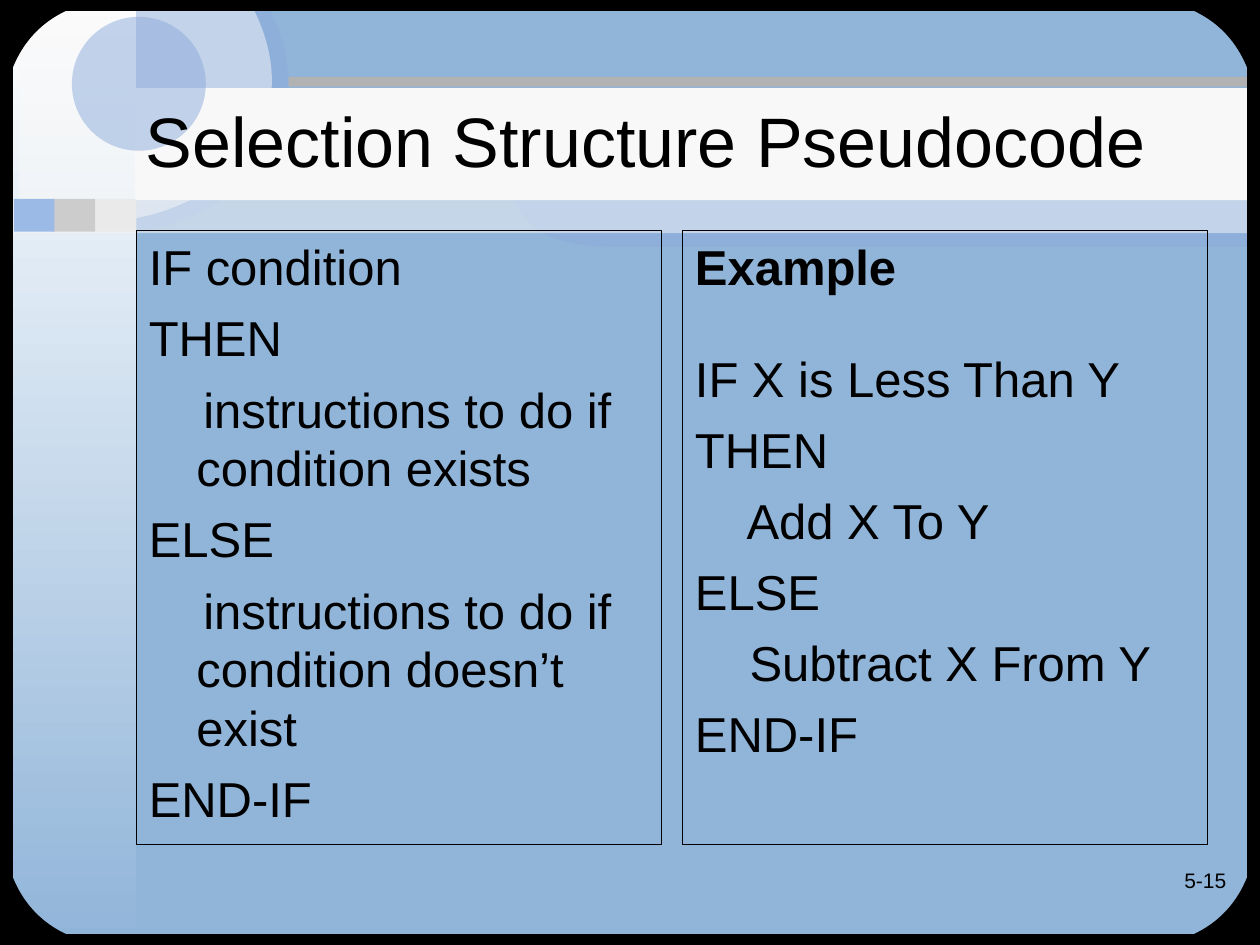
"""Build the selection structure pseudocode slide."""
from dataclasses import dataclass
from typing import Optional

from lxml.etree import SubElement
from pptx import Presentation
from pptx.dml.color import RGBColor
from pptx.enum.shapes import MSO_SHAPE
from pptx.enum.text import MSO_ANCHOR, PP_ALIGN
from pptx.oxml.ns import qn
from pptx.util import Cm, Pt

W, H = 25.4, 19.05
SKY = RGBColor(0x91, 0xB5, 0xD9)
BLUE = RGBColor(0x8C, 0xAB, 0xDC)
SQUARE_BLUE = RGBColor(0x9C, 0xBA, 0xE6)
GREY = RGBColor(0xB2, 0xB2, 0xB2)
MID_GREY = RGBColor(0xCC, 0xCC, 0xCC)
PALE_GREY = RGBColor(0xEA, 0xEA, 0xEA)
OFF_WHITE = RGBColor(0xF8, 0xF8, 0xF8)
WHITE = RGBColor(0xFF, 0xFF, 0xFF)
BLACK = RGBColor(0, 0, 0)


@dataclass
class Style:
    color: RGBColor
    alpha: Optional[int] = None
    outlined: bool = False
    fade_to: Optional[RGBColor] = None


@dataclass
class Block:
    box: tuple
    style: Style
    kind: MSO_SHAPE = MSO_SHAPE.RECTANGLE


@dataclass
class Curve:
    start: tuple
    segments: list
    style: Style


@dataclass
class Line:
    text: str
    indent: float = -0.96
    bold: bool = False
    before: float = 7


BLUE_GLASS, WHITE_GLASS = Style(BLUE, 50), Style(OFF_WHITE, 50)
FRAME = Style(BLACK, outlined=True)

BACKDROP = [
    Curve((10.34, 4.04), [(25.17, 4.04), (25.17, 4.98), (12.47, 4.98),
                          (10.9, 4.98, 10.67, 4.52, 10.34, 4.04)], BLUE_GLASS),
    Curve((5.41, 0.13), [(7.14, 3.58, 2.95, 5.61, 0.38, 4.39), (0.38, 0.13)], BLUE_GLASS),
    Block((5.82, 1.55, 19.58, 0.2), Style(GREY)),
    Block((0, 0, 2.74, H), Style(WHITE, fade_to=SKY)),
    Block((0, 4.04, W, 0.66), WHITE_GLASS),
    Block((2.72, 1.78, 22.68, 2.26), Style(OFF_WHITE)),
    Curve((5.11, 0.18), [(6.71, 3.4, 2.77, 5.28, 0.38, 4.14), (0.38, 0.18)], WHITE_GLASS),
    Block((1.45, 0.34, 2.7, 2.7), BLUE_GLASS, MSO_SHAPE.OVAL),
    Block((1.91, 4.01, 0.84, 0.66), Style(PALE_GREY)),
    Block((1.07, 4.01, 0.85, 0.66), Style(MID_GREY)),
    Block((0.28, 4.01, 0.82, 0.66), Style(SQUARE_BLUE)),
    Block((0, 0, 0.25, H), FRAME),
    Block((W - 0.25, 0, 0.25, H), FRAME),
    Block((0, 0, W, 0.21), FRAME),
    Block((0, H - 0.21, W, 0.21), FRAME),
]
CORNER_START = (0, 2.24)
CORNER = [(0, 1.73, 0.03, 1.12, 0.03, 0), (1.96, 0), (0.23, 0.36, 0.13, 1.78, 0, 2.24)]

SYNTAX = [
    Line("IF condition", before=0),
    Line("THEN"),
    Line("instructions to do if condition exists", 0.14),
    Line("ELSE"),
    Line("instructions to do if condition doesn’t exist", 0.14),
    Line("END-IF"),
]
EXAMPLE = [
    Line("Example", bold=True, before=0),
    Line("IF X is Less Than Y", before=30),
    Line("THEN"),
    Line("Add X To Y", 0.08),
    Line("ELSE"),
    Line("Subtract X From Y", 0.14),
    Line("END-IF"),
]


def apply(obj: object, values: dict) -> None:
    """Set every named attribute on an object."""
    for name, value in values.items():
        setattr(obj, name, value)


def paint(sp, style: Style) -> None:
    """Fill and outline a shape."""
    sp.shadow.inherit = False
    if style.fade_to is not None:
        sp.fill.gradient()
        sp.fill.gradient_angle = 270
        for stop, color, position in zip(sp.fill.gradient_stops, (style.color, style.fade_to), (0, 1)):
            stop.position = position
            stop.color.rgb = color
    else:
        sp.fill.solid()
        sp.fill.fore_color.rgb = style.color
    if style.alpha is not None:
        clr = sp._element.spPr.find(".//" + qn("a:srgbClr"))
        SubElement(clr, qn("a:alpha")).set("val", str(style.alpha * 1000))
    if style.outlined:
        sp.line.color.rgb = style.color
        sp.line.width = Pt(0.75)
    else:
        sp.line.fill.background()


def draw_block(s, block: Block) -> None:
    """Draw a preset shape."""
    paint(s.shapes.add_shape(block.kind, *map(Cm, block.box)), block.style)


def draw_curve(s, curve: Curve, flip_x: bool = False, flip_y: bool = False) -> None:
    """Draw a curved outline, mirrored across the slide on request."""
    pts = [curve.start]
    for seg in curve.segments:
        pts += zip(seg[::2], seg[1::2])
    pts = [(Cm(W - x if flip_x else x), Cm(H - y if flip_y else y)) for x, y in pts]
    fb = s.shapes.build_freeform(*pts[0])
    fb.add_line_segments(pts[1:], close=True)
    sp = fb.convert_to_shape()
    outline = sp._element.spPr.find(".//" + qn("a:moveTo")).getparent()
    steps = iter(outline.findall(qn("a:lnTo")))
    for seg in curve.segments:
        group = [next(steps) for _ in seg[::2]]
        if len(group) == 3:
            bezier = outline.makeelement(qn("a:cubicBezTo"))
            group[0].addprevious(bezier)
            for step in group:
                bezier.append(step[0])
                outline.remove(step)
    paint(sp, curve.style)


def add_text(s, box: tuple, lines: list, size: float, frame: dict, para: dict):
    """Add a wrapped text box with one paragraph per line."""
    sp = s.shapes.add_textbox(*map(Cm, box))
    tf = sp.text_frame
    apply(tf, {"word_wrap": True, **frame})
    for i, line in enumerate(lines):
        p = tf.add_paragraph() if i else tf.paragraphs[0]
        apply(p, {"space_before": Pt(line.before), **para})
        r = p.add_run()
        r.text = line.text
        apply(r.font, {"name": "Arial", "size": Pt(size), "bold": line.bold})
        r.font.color.rgb = BLACK
    return sp


def add_panel(s, left: float, lines: list) -> None:
    """Add an outlined pseudocode panel with hanging indents."""
    sp = add_text(s, (left, 4.65, 10.59, 12.37), lines, 28, {}, {})
    sp.line.color.rgb = BLACK
    sp.line.width = Pt(0.75)
    for p, line in zip(sp.text_frame.paragraphs, lines):
        pPr = p._p.get_or_add_pPr()
        pPr.set("marL", str(Cm(0.96)))
        pPr.set("indent", str(Cm(line.indent)))


def main() -> None:
    """Build and save the slide."""
    prs = Presentation()
    apply(prs, {"slide_width": Cm(W), "slide_height": Cm(H)})
    s = prs.slides.add_slide(prs.slide_layouts[6])
    s.background.fill.solid()
    s.background.fill.fore_color.rgb = SKY
    for item in BACKDROP:
        (draw_block if isinstance(item, Block) else draw_curve)(s, item)
    for flip_x in (False, True):
        for flip_y in (False, True):
            draw_curve(s, Curve(CORNER_START, CORNER, FRAME), flip_x, flip_y)
    add_text(s, (19.69, 17.36, 5.28, 1.27), [Line("5-15", before=0)], 12,
             {}, {"alignment": PP_ALIGN.RIGHT})
    add_text(s, (2.69, 1.23, 22.1, 3.18), [Line("Selection Structure Pseudocode", before=0)], 40,
             {"vertical_anchor": MSO_ANCHOR.MIDDLE}, {})
    for left, lines in ((2.75, SYNTAX), (13.76, EXAMPLE)):
        add_panel(s, left, lines)
    prs.save("out.pptx")


if __name__ == "__main__":
    main()
